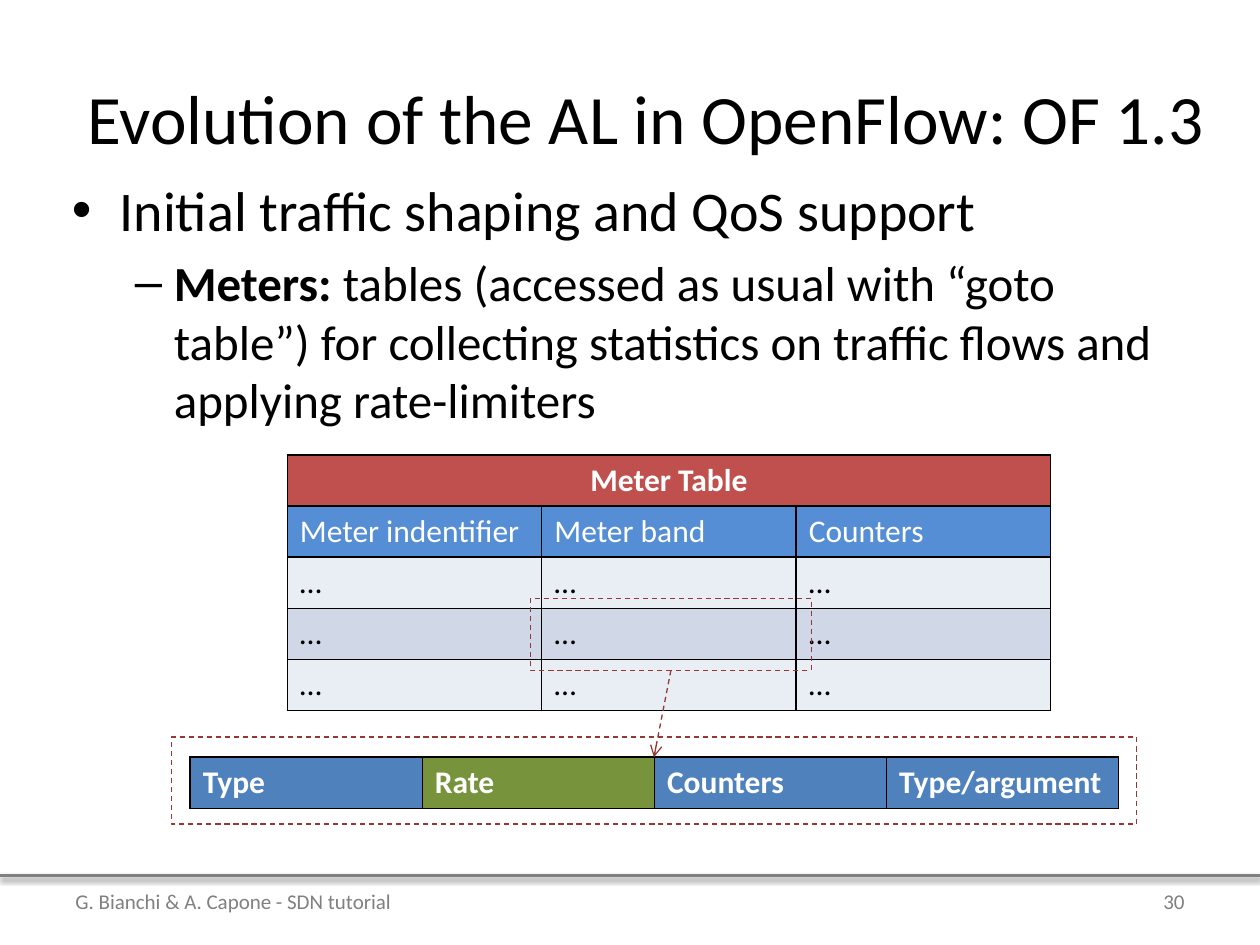
"""Build the slide about meters in OpenFlow 1.3."""
from dataclasses import dataclass

from lxml.etree import SubElement
from pptx import Presentation
from pptx.dml.color import RGBColor
from pptx.enum.dml import MSO_LINE_DASH_STYLE as Dash
from pptx.enum.shapes import MSO_CONNECTOR as Connector, MSO_SHAPE as Shape
from pptx.enum.text import MSO_ANCHOR as Anchor, MSO_AUTO_SIZE as AutoSize, PP_ALIGN as Align
from pptx.oxml import parse_xml
from pptx.oxml.ns import nsdecls, qn
from pptx.util import Inches, Pt


@dataclass(frozen=True)
class Theme:
    font: str = "Calibri"
    title: float = 39.6
    bullet: float = 32
    sub_bullet: float = 28
    cell: float = 18
    footer: float = 12
    black: str = "000000"
    white: str = "FFFFFF"
    gray: str = "808080"
    number_gray: str = "7F7F7F"
    red: str = "C0504D"
    sky: str = "558ED5"
    blue: str = "4F81BD"
    green: str = "77933C"
    light_band: str = "E9EDF4"
    dark_band: str = "D0D8E8"
    dashed: str = "953735"


THEME = Theme()
TITLE = "Evolution of the AL in OpenFlow: OF 1.3"
BULLETS = [
    (0, "•", 0.38, 0.38, THEME.bullet, [("Initial traffic shaping and QoS support", False)]),
    (1, "–", 0.81, 0.31, THEME.sub_bullet, [
        ("Meters: ", True),
        ("tables (accessed as usual with “goto table”) for collecting "
         "statistics on traffic flows and applying rate-limiters", False),
    ]),
]
FOOTERS = [
    ("G. Bianchi & A. Capone - SDN tutorial", (0.5, 6.95, 6.08, 0.4), Align.LEFT, THEME.gray),
    ("30", (7.17, 6.95, 2.33, 0.4), Align.RIGHT, THEME.number_gray),
]
METER_ROWS = [
    (["Meter Table", "", ""], [THEME.red] * 3, THEME.white, True),
    (["Meter indentifier", "Meter band", "Counters"], [THEME.sky] * 3, THEME.white, False),
    (["…"] * 3, [THEME.light_band] * 3, THEME.black, False),
    (["…"] * 3, [THEME.dark_band] * 3, THEME.black, False),
    (["…"] * 3, [THEME.light_band] * 3, THEME.black, False),
]
BAND_ROWS = [
    (["Type", "Rate", "Counters", "Type/argument"],
     [THEME.blue, THEME.green, THEME.blue, THEME.blue], THEME.white, True),
]
ROW_HEIGHT = 0.406
SHADOW = (
    f'<a:effectLst {nsdecls("a")}><a:outerShdw blurRad="{Pt(3.1)}" dist="{Pt(1.6)}" '
    'dir="5400000" rotWithShape="0"><a:srgbClr val="000000"><a:alpha val="38000"/>'
    '</a:srgbClr></a:outerShdw></a:effectLst>'
)
NO_SHADOW = f'<a:effectLst {nsdecls("a")}/>'


def color(value):
    return RGBColor.from_string(value)


def place(shape, bounds):
    shape.left, shape.top, shape.width, shape.height = map(Inches, bounds)


def add_run(para, text, size, value, bold=False):
    span = para.add_run()
    span.text = text
    font = span.font
    font.name, font.size, font.bold = THEME.font, Pt(size), bold
    font.color.rgb = color(value)


def style_line(line, value, width, dash=None):
    line.color.rgb = color(value)
    line.width = Pt(width)
    if dash:
        line.dash_style = dash


def add_line(slide, start, end, effect):
    line = slide.shapes.add_connector(Connector.STRAIGHT, *map(Inches, start + end))
    line._element.spPr.append(parse_xml(effect))
    return line


def add_title(slide):
    title = slide.shapes.title
    place(title, (0.5, 0.3, 9.25, 1.25))
    frame = title.text_frame
    frame.auto_size, frame.vertical_anchor = AutoSize.NONE, Anchor.MIDDLE
    para = frame.paragraphs[0]
    para.alignment = Align.CENTER
    add_run(para, TITLE, THEME.title, THEME.black)


def add_bullets(slide):
    body = slide.placeholders[1]
    place(body, (0.47, 1.34, 9, 4.95))
    frame = body.text_frame
    frame.auto_size = AutoSize.NONE
    for index, (level, mark, margin, hanging, size, runs) in enumerate(BULLETS):
        para = frame.add_paragraph() if index else frame.paragraphs[0]
        para.level = level
        props = para._p.get_or_add_pPr()
        props.set("marL", str(Inches(margin)))
        props.set("indent", str(-Inches(hanging)))
        SubElement(props, qn("a:buChar")).set("char", mark)
        para.space_before = Pt(0.2 * size if index else 0)
        for text, bold in runs:
            add_run(para, text, size, THEME.black, bold)


def add_footers(slide):
    for text, bounds, alignment, value in FOOTERS:
        box = slide.shapes.add_textbox(*map(Inches, bounds))
        frame = box.text_frame
        frame.word_wrap, frame.vertical_anchor = True, Anchor.MIDDLE
        para = frame.paragraphs[0]
        para.alignment = alignment
        add_run(para, text, THEME.footer, value)


def add_borders(cell):
    props = cell._tc.get_or_add_tcPr()
    for side in ("lnL", "lnR", "lnT", "lnB"):
        border = SubElement(props, qn(f"a:{side}"), w=str(Pt(1)))
        fill = SubElement(border, qn("a:solidFill"))
        SubElement(fill, qn("a:srgbClr"), val=THEME.black)


def add_grid(slide, rows, left, top, width):
    count = len(rows[0][0])
    bounds = map(Inches, (left, top, width, ROW_HEIGHT * len(rows)))
    table = slide.shapes.add_table(len(rows), count, *bounds).table
    table.first_row = table.horz_banding = False
    for column in table.columns:
        column.width = Inches(width / count)
    for row_index, (texts, fills, value, bold) in enumerate(rows):
        table.rows[row_index].height = Inches(ROW_HEIGHT)
        for column_index, (text, fill) in enumerate(zip(texts, fills)):
            cell = table.cell(row_index, column_index)
            add_borders(cell)
            cell.fill.solid()
            cell.fill.fore_color.rgb = color(fill)
            if text:
                add_run(cell.text_frame.paragraphs[0], text, THEME.cell, value, bold)
    return table


def add_dashed_box(slide, bounds):
    box = slide.shapes.add_shape(Shape.RECTANGLE, *map(Inches, bounds))
    box.shadow.inherit = False
    box.fill.background()
    style_line(box.line, THEME.dashed, 0.75, Dash.DASH)
    return box


def main():
    deck = Presentation()
    deck.slide_width, deck.slide_height = Inches(10), Inches(7.5)
    slide = deck.slides.add_slide(deck.slide_layouts[1])

    rule = add_line(slide, (0, 6.95), (10, 6.95), SHADOW)
    style_line(rule.line, THEME.gray, 2)
    add_title(slide)
    add_bullets(slide)
    add_footers(slide)

    meters = add_grid(slide, METER_ROWS, 2.28, 3.61, 6.06)
    meters.cell(0, 0).merge(meters.cell(0, 2))
    meters.cell(0, 0).text_frame.paragraphs[0].alignment = Align.CENTER
    band_box = add_dashed_box(slide, (4.21, 4.75, 2.23, 0.57))
    add_grid(slide, BAND_ROWS, 1.51, 6.01, 7.37)

    arrow = add_line(slide, (5.33, 5.33), (5.19, 6.01), NO_SHADOW)
    arrow.begin_connect(band_box, 2)
    style_line(arrow.line, THEME.dashed, 0.75, Dash.DASH)
    SubElement(arrow.line._get_or_add_ln(), qn("a:tailEnd"), type="arrow")
    add_dashed_box(slide, (1.36, 5.85, 7.66, 0.69))

    deck.save("out.pptx")


if __name__ == "__main__":
    main()
